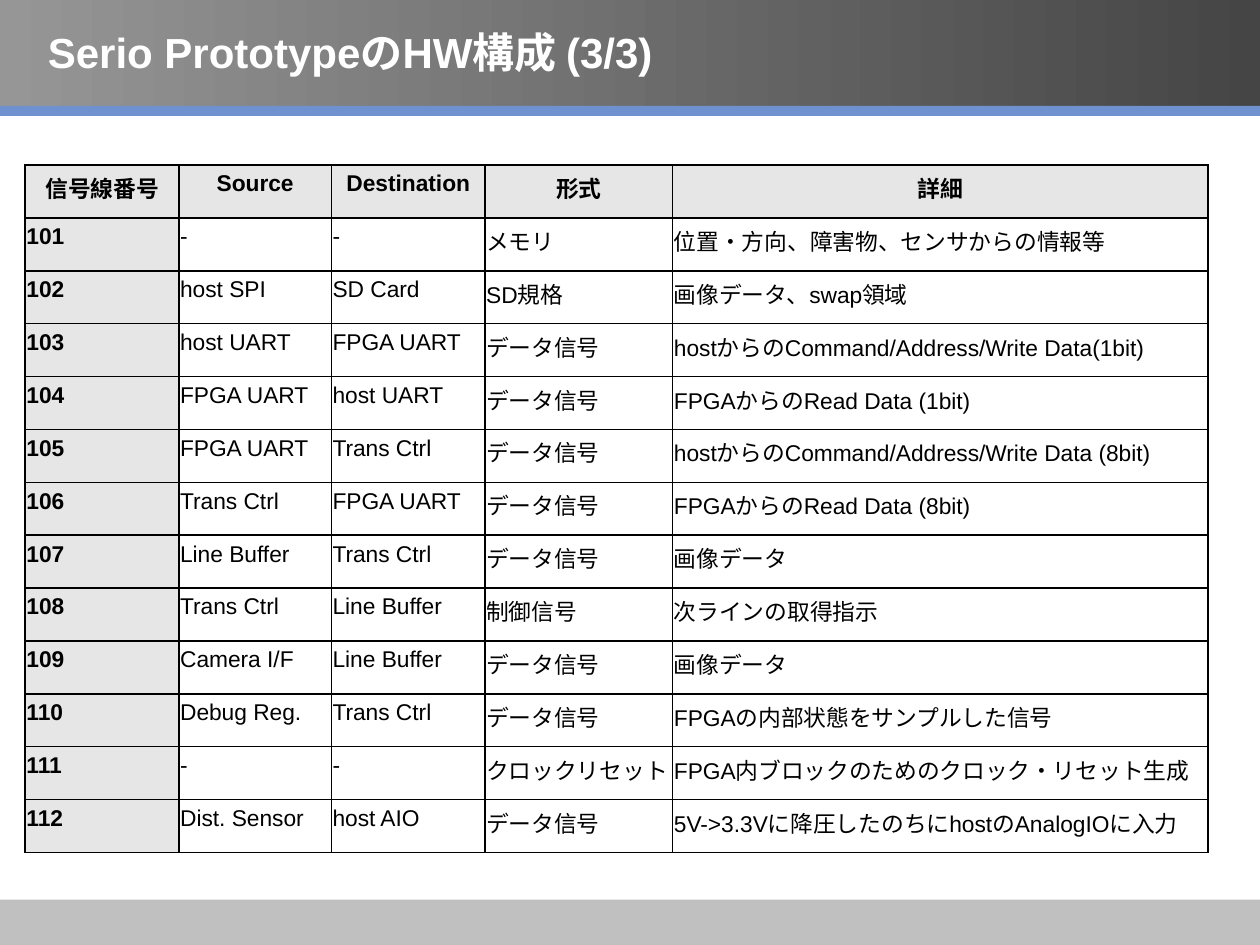
import pptx
import pptx.util
import pptx.dml.color
import pptx.enum.shapes
import pptx.enum.text
import pptx.oxml
import pptx.oxml.ns

Inches = pptx.util.Inches
RGBColor = pptx.dml.color.RGBColor
ALIGN = pptx.enum.text.PP_ALIGN
ANCHOR = pptx.enum.text.MSO_ANCHOR

BLACK = RGBColor(0x00, 0x00, 0x00)
WHITE = RGBColor(0xFF, 0xFF, 0xFF)
HEADER_GRAY = RGBColor(0xE6, 0xE6, 0xE6)
FOOTER_GRAY = RGBColor(0xC0, 0xC0, 0xC0)
BANNER_DARK = RGBColor(0x45, 0x45, 0x45)
BANNER_LIGHT = RGBColor(0x96, 0x96, 0x96)
STRIPE_BLUE = RGBColor(0x6F, 0x91, 0xCF)

COLUMN_WIDTHS = [1.22, 1.21, 1.22, 1.49, 4.25]
ROW_HEIGHT = 0.42
SIGNALS = [
    ["信号線番号", "Source", "Destination", "形式", "詳細"],
    ["101", "-", "-", "メモリ", "位置・方向、障害物、センサからの情報等"],
    ["102", "host SPI", "SD Card", "SD規格", "画像データ、swap領域"],
    ["103", "host UART", "FPGA UART", "データ信号", "hostからのCommand/Address/Write Data(1bit)"],
    ["104", "FPGA UART", "host UART", "データ信号", "FPGAからのRead Data (1bit)"],
    ["105", "FPGA UART", "Trans Ctrl", "データ信号", "hostからのCommand/Address/Write Data (8bit)"],
    ["106", "Trans Ctrl", "FPGA UART", "データ信号", "FPGAからのRead Data (8bit)"],
    ["107", "Line Buffer", "Trans Ctrl", "データ信号", "画像データ"],
    ["108", "Trans Ctrl", "Line Buffer", "制御信号", "次ラインの取得指示"],
    ["109", "Camera I/F", "Line Buffer", "データ信号", "画像データ"],
    ["110", "Debug Reg.", "Trans Ctrl", "データ信号", "FPGAの内部状態をサンプルした信号"],
    ["111", "-", "-", "クロックリセット", "FPGA内ブロックのためのクロック・リセット生成"],
    ["112", "Dist. Sensor", "host AIO", "データ信号", "5V->3.3Vに降圧したのちにhostのAnalogIOに入力"],
]


def write_text(frame, text, size=13, color=BLACK, bold=False, align=ALIGN.LEFT):
    para = frame.paragraphs[0]
    para.alignment = align
    span = para.add_run()
    span.text = text
    span.font.name = "Arial"
    span.font.size = pptx.util.Pt(size)
    span.font.bold = bold
    span.font.color.rgb = color


def draw_borders(cell):
    properties = cell._tc.get_or_add_tcPr()
    for side in ("lnL", "lnR", "lnT", "lnB"):
        properties.append(pptx.oxml.parse_xml(
            f'<a:{side} {pptx.oxml.ns.nsdecls("a")} w="{pptx.util.Pt(0.96)}">'
            f'<a:solidFill><a:srgbClr val="{BLACK}"/></a:solidFill></a:{side}>'))


deck = pptx.Presentation()
deck.slide_width = Inches(10)
deck.slide_height = Inches(7.5)
page = deck.slides.add_slide(deck.slide_layouts.get_by_name("Title Only"))

# Full-width bars: footer, banner, stripe
bars = []
for top, height, color in [(7.14, 0.36, FOOTER_GRAY), (0, 0.84, None), (0.84, 0.08, STRIPE_BLUE)]:
    bar = page.shapes.add_shape(pptx.enum.shapes.MSO_SHAPE.RECTANGLE,
                                0, Inches(top), deck.slide_width, Inches(height))
    bar.shadow.inherit = False
    bar.line.fill.background()
    if color is None:
        bar.fill.gradient()
        bar.fill.gradient_angle = 180
        for stop, shade in zip(bar.fill.gradient_stops, (BANNER_DARK, BANNER_LIGHT)):
            stop.color.rgb = shade
    else:
        bar.fill.solid()
        bar.fill.fore_color.rgb = color

# Signal table
table_frame = page.shapes.add_table(
    len(SIGNALS), len(COLUMN_WIDTHS), Inches(0.2), Inches(1.31),
    Inches(sum(COLUMN_WIDTHS)), Inches(ROW_HEIGHT * len(SIGNALS)))
table = table_frame.table
table.horz_banding = False
for column, width in zip(table.columns, COLUMN_WIDTHS):
    column.width = Inches(width)
for row_index, signal in enumerate(SIGNALS):
    table.rows[row_index].height = Inches(ROW_HEIGHT)
    for column_index, text in enumerate(signal):
        cell = table.cell(row_index, column_index)
        is_heading = row_index == 0 or column_index == 0
        cell.margin_left = cell.margin_right = Inches(0.01)
        cell.margin_top = cell.margin_bottom = Inches(0.05)
        draw_borders(cell)
        if is_heading:
            cell.fill.solid()
            cell.fill.fore_color.rgb = HEADER_GRAY
        else:
            cell.fill.background()
        write_text(cell.text_frame, text, bold=is_heading,
                   align=ALIGN.CENTER if row_index == 0 else ALIGN.LEFT)

# Title, brought in front of the banner
title = page.shapes.title
title.left, title.top = Inches(0.28), Inches(0.14)
title.width, title.height = Inches(6.83), Inches(0.54)
title.text_frame.auto_size = pptx.enum.text.MSO_AUTO_SIZE.NONE
title.text_frame.vertical_anchor = ANCHOR.MIDDLE
write_text(title.text_frame, "Serio PrototypeのHW構成 (3/3)", size=24, color=WHITE, bold=True)
page.shapes._spTree.append(title._element)

deck.save("out.pptx")
